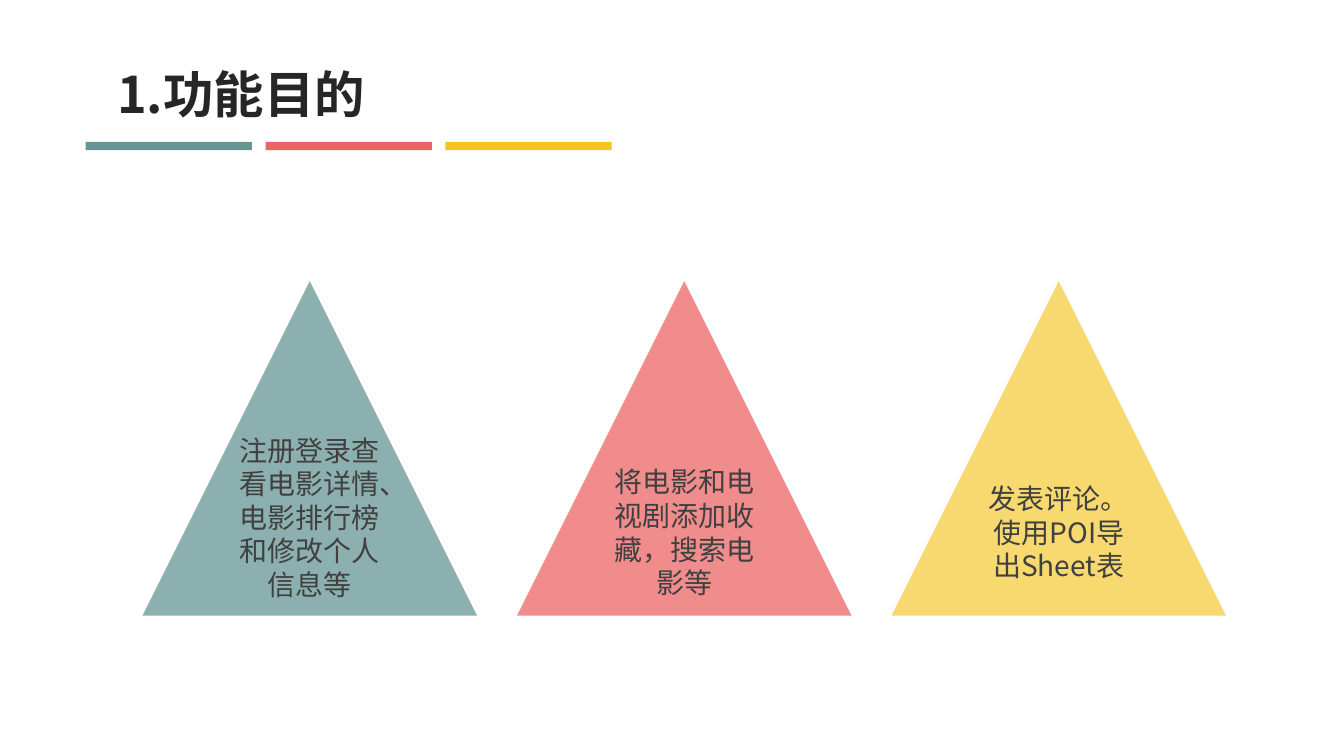
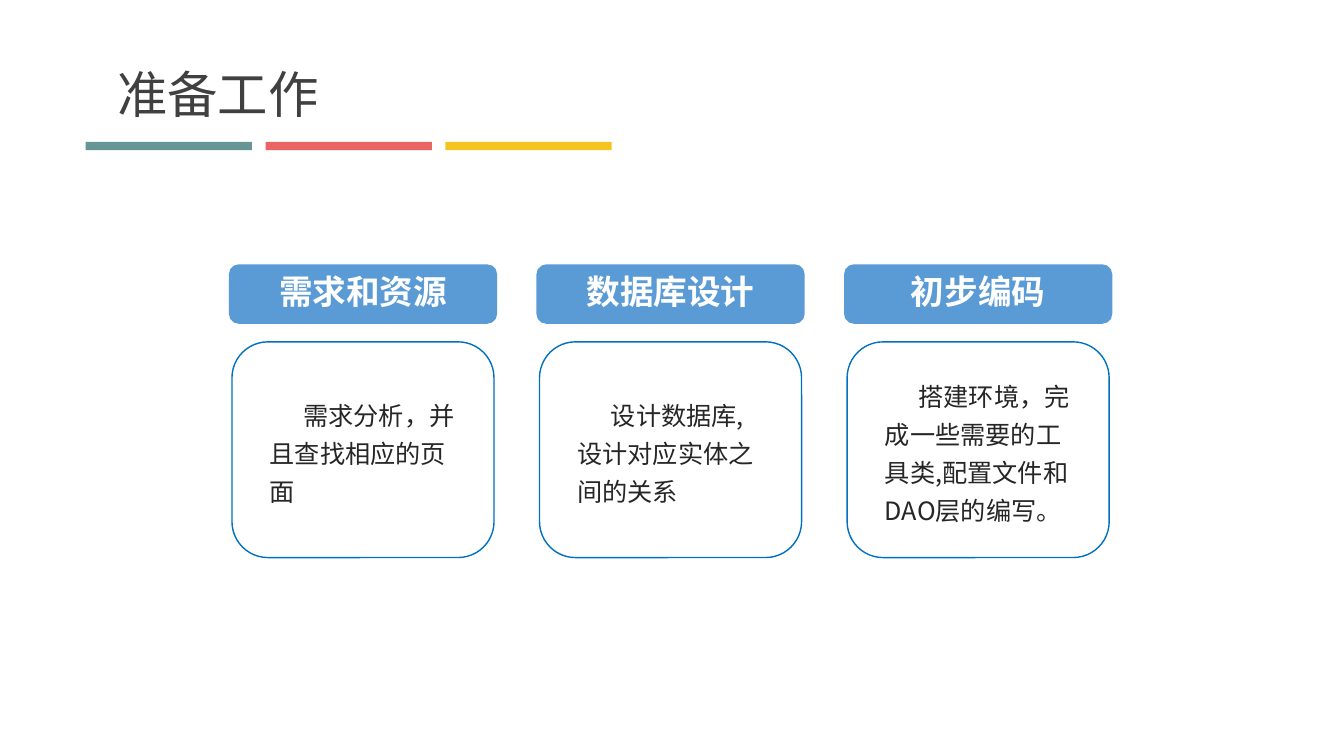
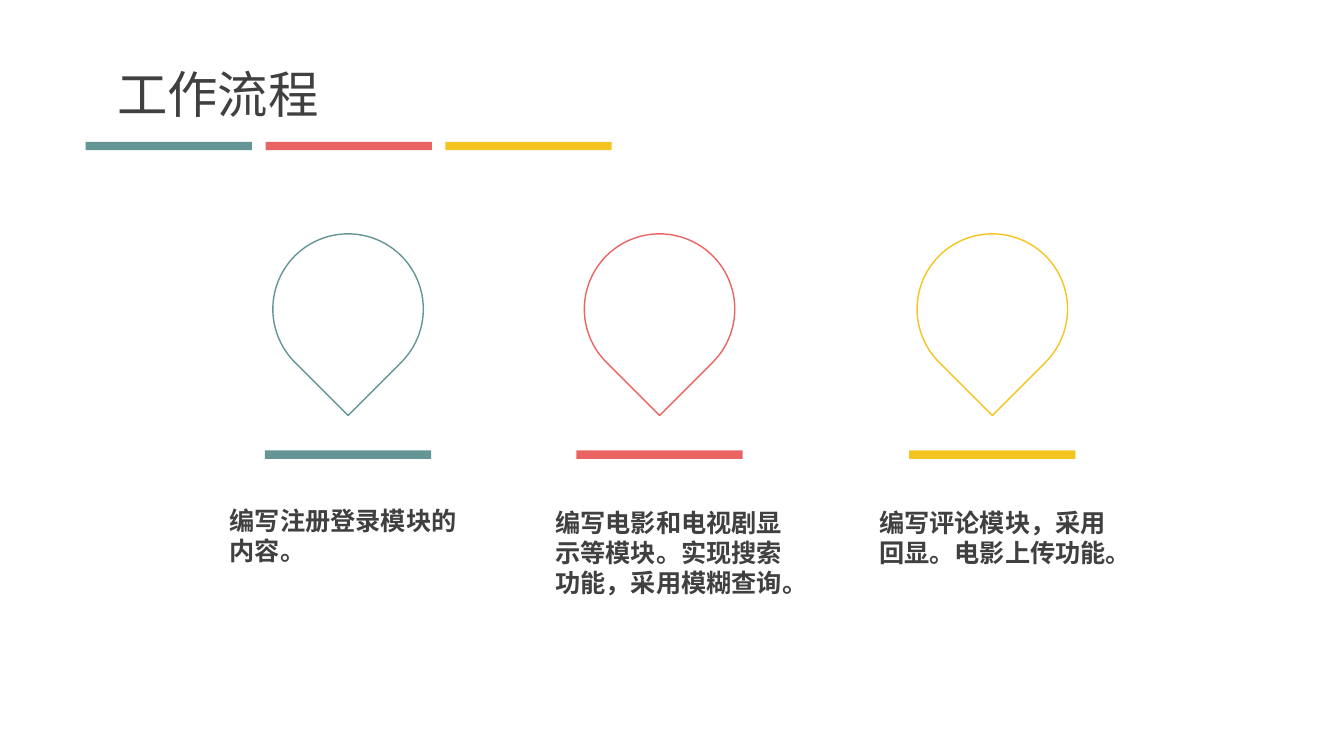
from collections import namedtuple
from dataclasses import dataclass

from lxml import etree
from pptx import Presentation
from pptx.dml.color import RGBColor
from pptx.enum import shapes, text
from pptx.oxml import ns
from pptx.util import Pt

Box = namedtuple("Box", "left top width height")
Preset = shapes.MSO_SHAPE
Align = text.PP_ALIGN
Anchor = text.MSO_ANCHOR


@dataclass(frozen=True)
class Theme:
    font: str = "Noto Sans CJK SC"
    accents: tuple = ("659594", "EB6464", "F4C520")
    white: str = "FFFFFF"
    ink: str = "262626"
    grey: str = "404040"
    header: str = "5B9BD5"
    outline: str = "0070C0"
    title_size: int = 36
    header_size: int = 24
    triangle_size: int = 20
    body_size: int = 18
    bar_width: float = 118.8
    bar_height: float = 6


THEME = Theme()
SLIDE = Box(0, 0, 960, 540)


# Shared building blocks
def add_preset(slide, preset, box, fill, line=None, opacity=100):
    shape = slide.shapes.add_shape(preset, *map(Pt, box))
    shape.shadow.inherit = False
    shape.fill.solid()
    shape.fill.fore_color.rgb = RGBColor.from_string(fill)
    if opacity < 100:
        color = shape.fill._xPr.find(".//" + ns.qn("a:srgbClr"))
        etree.SubElement(color, ns.qn("a:alpha")).set("val", str(opacity * 1000))
    if line:
        shape.line.color.rgb = RGBColor.from_string(line)
        shape.line.width = Pt(1)
    else:
        shape.line.fill.background()
    return shape


def write(shape, words, size, color, bold=False, align=Align.LEFT, anchor=Anchor.MIDDLE):
    frame = shape.text_frame
    frame.word_wrap = True
    frame.vertical_anchor = anchor
    frame.text = words
    paragraph = frame.paragraphs[0]
    paragraph.alignment = align
    font = paragraph.runs[0].font
    font.name, font.size, font.bold = THEME.font, Pt(size), bold
    font.color.rgb = RGBColor.from_string(color)
    east_asian = etree.Element(ns.qn("a:ea"), typeface=THEME.font)
    font._element.find(ns.qn("a:latin")).addnext(east_asian)
    return paragraph


def add_caption(slide, box, words, size, color, bold=False, align=Align.LEFT):
    caption = slide.shapes.add_textbox(*map(Pt, box))
    write(caption, words, size, color, bold, align, Anchor.TOP)
    caption.text_frame.auto_size = text.MSO_AUTO_SIZE.SHAPE_TO_FIT_TEXT


def set_insets(shape, inset):
    frame = shape.text_frame
    frame.margin_left = frame.margin_right = Pt(inset)
    frame.margin_top = frame.margin_bottom = Pt(inset)


def add_bar(slide, left, top, color):
    box = Box(left, top, THEME.bar_width, THEME.bar_height)
    add_preset(slide, Preset.RECTANGLE, box, color)


def add_heading(slide, box, title, color=THEME.grey, bold=False):
    pitch = (box.width - THEME.bar_width) / (len(THEME.accents) - 1)
    for i, accent in enumerate(THEME.accents):
        add_bar(slide, box.left + i * pitch, box.top + box.height - THEME.bar_height, accent)
    title_box = Box(box.left + 15.4, box.top, 385, 51)
    add_caption(slide, title_box, title, THEME.title_size, color, bold)


# Purpose: one translucent triangle per goal
def add_triangles(slide, box, goals):
    side = box.height
    pitch = (box.width - side) / (len(goals) - 1)
    for i, (accent, (words, opacity, bottom_inset)) in enumerate(zip(THEME.accents, goals)):
        triangle_box = Box(box.left + i * pitch, box.top, side, side)
        triangle = add_preset(slide, Preset.ISOSCELES_TRIANGLE, triangle_box,
                              accent, opacity=opacity)
        write(triangle, words, THEME.triangle_size, THEME.grey, align=Align.CENTER)
        triangle.text_frame.margin_bottom = Pt(bottom_inset)


# Preparation: a header above an outlined card
def add_card(slide, box, heading, words):
    header = add_preset(slide, Preset.ROUNDED_RECTANGLE,
                        Box(box.left, box.top, box.width, 42.5), THEME.header)
    set_insets(header, 19.5)
    label = write(header, heading, THEME.header_size, THEME.white, True, Align.CENTER)
    label.line_spacing = 0.9

    body_box = Box(box.left + 2.2, box.top + 55.4, box.width - 4.4, box.height - 55.4)
    body = add_preset(slide, Preset.ROUNDED_RECTANGLE, body_box, THEME.white, THEME.outline)
    set_insets(body, 19.5)
    detail = write(body, words, THEME.body_size, THEME.ink)
    detail.line_spacing = 1.25
    detail._p.get_or_add_pPr().set("indent", str(Pt(24)))


def add_cards(slide, box, topics):
    card_width = 191.6
    pitch = (box.width - card_width) / (len(topics) - 1)
    for i, (heading, words) in enumerate(topics):
        card_box = Box(box.left + i * pitch, box.top, card_width, box.height)
        add_card(slide, card_box, heading, words)


# Workflow: a pin, a bar and a caption per step
def add_step(slide, box, accent, words, caption_shift, caption_top, caption_height, align):
    pin_side = 107.5
    pin_box = Box(box.left + (box.width - pin_side) / 2, box.top, pin_side, pin_side)
    pin = add_preset(slide, Preset.TEAR, pin_box, THEME.white, accent)
    pin.rotation = 135
    add_bar(slide, box.left, box.top + 154.8, accent)
    caption_box = Box(box.left + caption_shift, box.top + caption_top, 181, caption_height)
    add_caption(slide, caption_box, words, THEME.body_size, THEME.grey, True, align)


def add_steps(slide, box, steps):
    for accent, (left, *details) in zip(THEME.accents, steps):
        step_box = Box(box.left + left, box.top, THEME.bar_width, box.height)
        add_step(slide, step_box, accent, *details)


def main():
    deck = Presentation()
    deck.slide_width, deck.slide_height = Pt(SLIDE.width), Pt(SLIDE.height)
    heading_box = Box(61.2, 41.5, 375.8, 65.8)

    def new_slide(title, **style):
        slide = deck.slides.add_slide(deck.slide_layouts[6])
        add_heading(slide, heading_box, title, **style)
        return slide

    purpose = new_slide("1.功能目的", color=THEME.ink, bold=True)
    add_triangles(purpose, Box(101.8, 200.8, 774, 239), [
        ("注册登录查看电影详情、电影排行榜和修改个人信息等", 74, 25),
        ("将电影和电视剧添加收藏，搜索电影等", 74, 3.6),
        ("发表评论。使用POI导出Sheet表", 64, 3.6),
    ])

    preparation = new_slide("准备工作")
    add_cards(preparation, Box(163.5, 188.8, 631, 209.5), [
        ("需求和资源", "需求分析，并且查找相应的页面"),
        ("数据库设计", "设计数据库,设计对应实体之间的关系"),
        ("初步编码", "搭建环境，完成一些需要的工具类,配置文件和DAO层的编写。"),
    ])

    workflow = new_slide("工作流程")
    add_steps(workflow, Box(189.2, 167, 579, 286), [
        (0, "编写注册登录模块的内容。", -32.2, 190.1, 72.7, Align.LEFT),
        (222.5, "编写电影和电视剧显示等模块。实现搜索功能，采用模糊查询。",
         -22.2, 191.6, 94.3, Align.LEFT),
        (460.2, "编写评论模块，采用回显。电影上传功能。", -31, 191.6, 72.7, Align.CENTER),
    ])

    deck.save("out.pptx")


if __name__ == "__main__":
    main()
